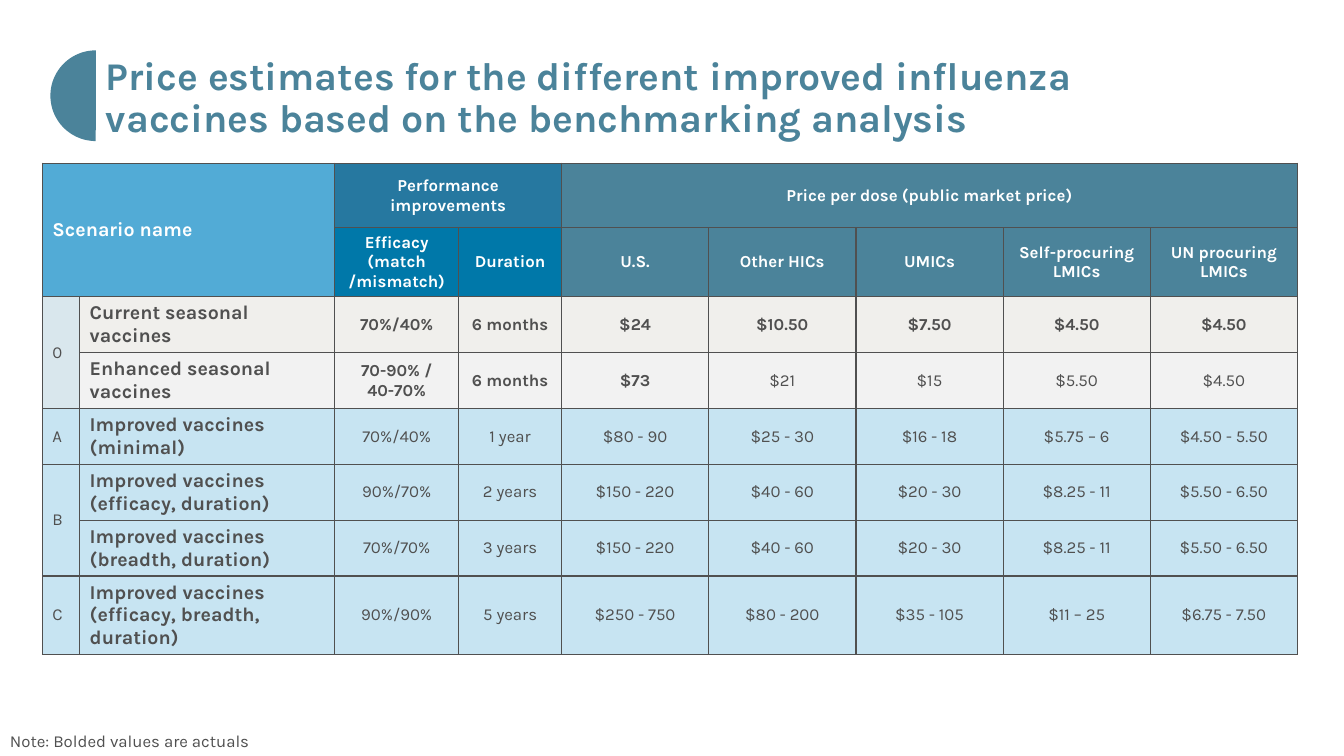
"""Build the slide with price estimates for improved influenza vaccines."""
import math

from lxml import etree
from pptx import Presentation
from pptx import util as u
from pptx.dml.color import RGBColor
from pptx.enum import text
from pptx.oxml.ns import qn

FONT = "Karla"
COLORS = {
    "teal": "4B839A", "sky": "52ABD6", "steel": "2678A0", "blue": "0078A9",
    "mist": "D9E7ED", "sand": "F0EFEC", "gray": "F2F2F2", "ice": "C7E4F2",
    "ink": "505050", "white": "FFFFFF",
}
TITLE = ("Price estimates for the different improved influenza vaccines "
         "based on the benchmarking analysis")
NOTE = "Note: Bolded values are actuals"

GROUPS = ["Scenario name", "", "Performance improvements", "",
          "Price per dose (public market price)", "", "", "", ""]
HEADS = ["", "", "Efficacy (match /mismatch)", "Duration", "U.S.", "Other HICs",
         "UMICs", "Self-procuring LMICs", "UN procuring LMICs"]
GROUP_FILLS = ["sky"] * 2 + ["steel"] * 2 + ["teal"] * 5
HEAD_FILLS = ["sky"] * 2 + ["blue"] * 2 + ["teal"] * 5

# fmt: off
SCENARIOS = [
    ("sand", 7, ["0", "Current seasonal vaccines", "70%/40%", "6 months",
                 "$24", "$10.50", "$7.50", "$4.50", "$4.50"]),
    ("gray", 3, ["", "Enhanced seasonal vaccines", "70-90% /\n40-70%", "6 months",
                 "$73", "$21", "$15", "$5.50", "$4.50"]),
    ("ice", 0, ["A", "Improved vaccines (minimal)", "70%/40%", "1 year",
                "$80 - 90", "$25 - 30", "$16 - 18", "$5.75 – 6", "$4.50 - 5.50"]),
    ("ice", 0, ["B", "Improved vaccines (efficacy, duration)", "90%/70%", "2 years",
                "$150 - 220", "$40 - 60", "$20 - 30", "$8.25 - 11", "$5.50 - 6.50"]),
    ("ice", 0, ["", "Improved vaccines (breadth, duration)", "70%/70%", "3 years",
                "$150 - 220", "$40 - 60", "$20 - 30", "$8.25 - 11", "$5.50 - 6.50"]),
    ("ice", 0, ["C", "Improved vaccines (efficacy, breadth, duration)", "90%/90%",
                "5 years", "$250 - 750", "$80 - 200", "$35 - 105", "$11 – 25",
                "$6.75 - 7.50"]),
]
SPANS = [((0, 0), (1, 1)), ((0, 2), (0, 3)), ((0, 4), (0, 8)),
         ((2, 0), (3, 0)), ((5, 0), (6, 0))]
COLS = [0.37, 2.53, 1.23, 1.02] + [1.46] * 5
ROWS = [0.64] * 2 + [0.52] * 5 + [0.74]


def rgb(name):
    return RGBColor.from_string(COLORS[name])


def write(tf, content, size, color, bold=False, align=text.PP_ALIGN.LEFT):
    for i, line in enumerate(content.split("\n")):
        p = tf.paragraphs[0] if i == 0 else tf.add_paragraph()
        p.alignment = align
        r = p.add_run()
        r.text = line
        r.font.name, r.font.size, r.font.bold = FONT, u.Pt(size), bold
        r.font.color.rgb = rgb(color)


def style_cell(cell, fill):
    for side in ("a:lnL", "a:lnR", "a:lnT", "a:lnB"):
        ln = etree.SubElement(cell._tc.get_or_add_tcPr(), qn(side), w=str(u.Pt(1)))
        solid = etree.SubElement(ln, qn("a:solidFill"))
        etree.SubElement(solid, qn("a:srgbClr"), val=COLORS["ink"])
    cell.fill.solid()
    cell.fill.fore_color.rgb = rgb(fill)
    cell.vertical_anchor = text.MSO_ANCHOR.MIDDLE


def add_half_disc(s, right, middle, radius, steps=60):
    angles = [math.pi * (0.5 + i / steps) for i in range(steps + 1)]
    points = [(u.Inches(right + radius * math.cos(a)),
               u.Inches(middle - radius * math.sin(a))) for a in angles]
    builder = s.shapes.build_freeform(*points[0])
    builder.add_line_segments(points[1:], close=True)
    sp = builder.convert_to_shape()
    sp.shadow.inherit = False
    sp.fill.solid()
    sp.fill.fore_color.rgb = rgb("teal")
    sp.line.fill.background()


def add_title(s):
    sp = s.shapes.title
    sp.left, sp.top, sp.width, sp.height = map(u.Inches, (1.05, 0.74, 11.24, 0.48))
    tf = sp.text_frame
    tf.margin_left = tf.margin_right = tf.margin_top = tf.margin_bottom = 0
    tf.vertical_anchor = text.MSO_ANCHOR.MIDDLE
    tf.auto_size = text.MSO_AUTO_SIZE.NONE
    tf.word_wrap = True
    write(tf, TITLE, 28, "teal", True)
    tf.paragraphs[0].line_spacing = 0.9


def add_price_table(s):
    table = s.shapes.add_table(len(ROWS), len(COLS), u.Inches(0.42), u.Inches(1.62),
                               u.Inches(sum(COLS)), u.Inches(sum(ROWS))).table
    table.first_row = table.horz_banding = False
    for col, width in zip(table.columns, COLS):
        col.width = u.Inches(width)
    for row, height in zip(table.rows, ROWS):
        row.height = u.Inches(height)
    for start, end in SPANS:
        table.cell(*start).merge(table.cell(*end))

    for r, (labels, fills) in enumerate([(GROUPS, GROUP_FILLS), (HEADS, HEAD_FILLS)]):
        for c, (label, fill) in enumerate(zip(labels, fills)):
            cell = table.cell(r, c)
            style_cell(cell, fill)
            if label:
                align = text.PP_ALIGN.CENTER if c > 1 else text.PP_ALIGN.LEFT
                write(cell.text_frame, label, 12 if c > 1 else 14, "white", True, align)

    for r, (fill, actuals, values) in enumerate(SCENARIOS, start=2):
        for c, value in enumerate(values):
            cell = table.cell(r, c)
            style_cell(cell, "mist" if c == 0 and fill != "ice" else fill)
            if value:
                align = text.PP_ALIGN.CENTER if c > 1 else text.PP_ALIGN.LEFT
                write(cell.text_frame, value, 14 if c == 1 else 12, "ink",
                      1 <= c < 2 + actuals, align)


def add_note(s):
    sp = s.shapes.add_textbox(0, u.Inches(7.2), u.Inches(2.86), u.Inches(0.3))
    sp.text_frame.word_wrap = False
    sp.text_frame.auto_size = text.MSO_AUTO_SIZE.SHAPE_TO_FIT_TEXT
    write(sp.text_frame, NOTE, 12, "ink")


def main():
    prs = Presentation()
    prs.slide_width, prs.slide_height = u.Inches(13.33), u.Inches(7.5)
    s = prs.slides.add_slide(prs.slide_layouts[5])
    add_half_disc(s, 0.95, 0.95, 0.45)
    add_title(s)
    add_price_table(s)
    add_note(s)
    prs.save("out.pptx")


if __name__ == "__main__":
    main()
